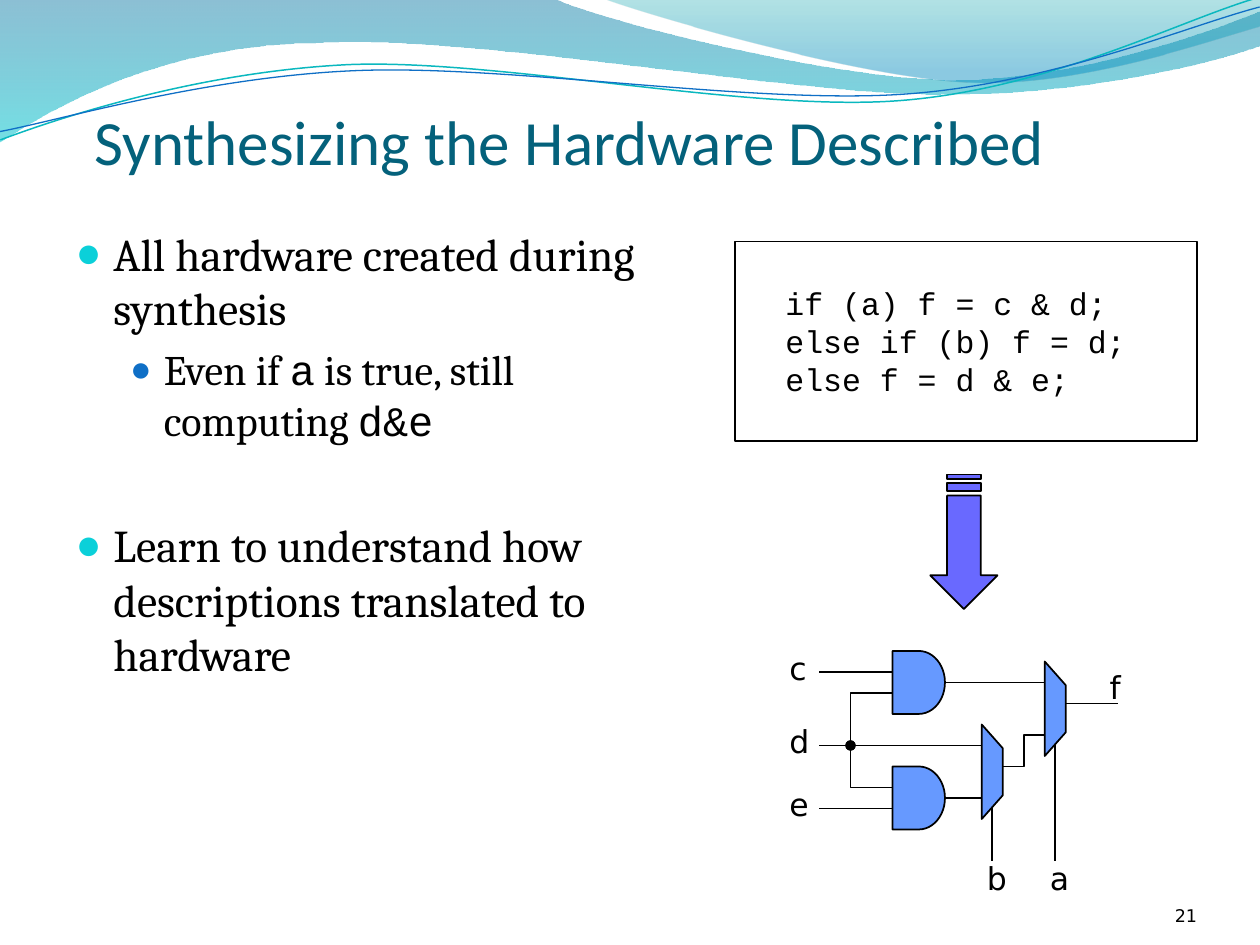
"""Build the slide on how an if/else description is synthesized into gates and multiplexers."""
from lxml import etree
from pptx import Presentation
from pptx import util as u
from pptx.dml.color import RGBColor
from pptx.enum import shapes, text
from pptx.oxml.ns import qn

PX = 7620
BLACK = RGBColor(0x00, 0x00, 0x00)
TITLE_TEAL = RGBColor(0x04, 0x61, 0x7B)
GATE_BLUE = RGBColor(0x66, 0x99, 0xFF)
ARROW_VIOLET = RGBColor(0x69, 0x69, 0xFF)
CYAN = RGBColor(0x0B, 0xD0, 0xD9)
BLUE = RGBColor(0x0F, 0x6F, 0xC6)
WAVE_TEAL = RGBColor(0x0A, 0xB8, 0xBF)
DEEP_BLUE = RGBColor(0x00, 0x74, 0xA1)
AQUA = RGBColor(0x00, 0xC6, 0xCF)
SEA_GREEN = RGBColor(0x00, 0xA1, 0xA9)
SKY_BLUE = RGBColor(0x00, 0x8B, 0xBF)
SANS, SERIF, MONO = "DejaVu Sans", "Cambria", "Courier New"

TITLE = "Synthesizing the Hardware Described"
POINTS = [
    (0, 5, [("All hardware created during synthesis", SERIF)]),
    (1, 5, [("Even if ", SERIF), ("a", MONO), (" is true, still computing ", SERIF), ("d&e", MONO)]),
    (0, 41.5, [("Learn to understand how descriptions translated to hardware", SERIF)]),
]
LEVELS = [
    {"size": 26, "margin": 36, "hang": 36, "color": CYAN, "percent": 95},
    {"size": 24, "margin": 84, "hang": 32, "color": BLUE, "percent": 85},
]
CODE = ["if (a) f = c & d;", "else if (b) f = d;", "else f = d & e;"]
PAGE_NUMBER = "21"

FILLED_WAVES = [
    ([[(0, -1)], [(528, -1)], [(571, 20), (797, 76), (910, 76)], [(1024, 76), (1150, 31), (1200, 11)],
      [(1201, 43)], [(1180, 53), (1044, 91), (895, 90)], [(746, 90), (458, 34), (308, 41)],
      [(155, 42), (55, 100), (-1, 136)]],
     [(0, DEEP_BLUE, 45), (1, AQUA, 55)]),
    ([[(575, -1)], [(611, 13), (818, 74), (923, 78)], [(1027, 83), (1153, 38), (1200, 25)], [(1200, 0)]],
     [(0, SEA_GREEN, 30), (0.8, SKY_BLUE, 45)]),
]
WAVE_TILT = 357.3
LINE_WAVES = [
    ([[(-2, 105)], [(57, 86), (190, 49), (333, 49)], [(475, 50), (710, 112), (854, 108)],
      [(999, 104), (1128, 43), (1201, 26)]], WAVE_TEAL, 0.85),
    ([[(-2, 97)], [(55, 89), (197, 54), (340, 55)], [(485, 56), (714, 105), (859, 102)],
      [(1002, 99), (1131, 50), (1202, 35)]], BLUE, 0.75),
]

ARROW_HEAD = [(874, 500), (950, 500), (950, 484), (982, 516), (950, 548), (950, 532), (874, 532)]
ARROW_STRIPES = [(862, 870), (854, 858)]
STRIPE_TOP, STRIPE_BOTTOM = 500, 532

GATES = [(850, 620), (850, 730)]
GATE_SIZE = (50, 60)
MUXES = [(960, 665), (900, 725)]
MUX_LENGTH, MUX_DEPTH, MUX_SLOPE = 90, 20, 22.5
GATE_OUTPUT_ENDS = [(995, 650), (935, 760)]
STRAIGHT_WIRES = [
    ((780, 640), (850, 640)), ((780, 710), (935, 710)), ((780, 770), (850, 770)),
    ((1015, 670), (1065, 670)), ((1005, 710), (1005, 820)), ((945, 770), (945, 820)),
]
MUX_LINK = [(955, 730), (975, 730), (975, 700), (995, 700)]
D_BRANCHES = [[(810, 710), (810, y), (850, y)] for y in (660, 750)]
SIGNALS = [("c", 740, 612, 40), ("d", 740, 682, 43), ("e", 740, 742, 42),
           ("f", 1045, 630, 35), ("a", 988, 812, 42), ("b", 928, 812, 43)]


def px(*lengths):
    return [u.Emu(round(length * PX)) for length in lengths]


def style_font(font, size, face, color=BLACK):
    font.size, font.name, font.color.rgb = u.Pt(size), face, color


def style_shape(shape, fill=None, line=BLACK, width=1):
    shape.shadow.inherit = False
    if fill is None:
        shape.fill.background()
    else:
        shape.fill.solid()
        shape.fill.fore_color.rgb = fill
    shape.line.color.rgb = line
    shape.line.width = u.Pt(width)


def add_outline(slide, *contours, close=False):
    builder = slide.shapes.build_freeform(*px(*contours[0][0]))
    for index, contour in enumerate(contours):
        if index:
            builder.move_to(*px(*contour[0]))
        builder.add_line_segments([px(*point) for point in contour[1:]], close=close)
    return builder.convert_to_shape()


def add_curve(slide, segments, close=False):
    curve = add_outline(slide, [point for segment in segments for point in segment])
    outline = next(curve._element.iter(qn("a:path")))
    steps = iter(outline.findall(qn("a:lnTo")))
    for segment in segments[1:]:
        first, *others = [next(steps) for _ in segment]
        if others:
            bezier = etree.Element(qn("a:cubicBezTo"))
            first.addprevious(bezier)
            for step in (first, *others):
                bezier.append(step[0])
                outline.remove(step)
    if close:
        etree.SubElement(outline, qn("a:close"))
    return curve


def add_waves(slide):
    for segments, stops in FILLED_WAVES:
        wave = add_curve(slide, segments, close=True)
        wave.shadow.inherit = False
        wave.line.fill.background()
        wave.fill.gradient()
        wave.fill.gradient_angle = 270
        for stop, (position, color, _) in zip(wave.fill.gradient_stops, stops):
            stop.position, stop.color.rgb = position, color
        for node, (_, _, opacity) in zip(wave._element.iter(qn("a:gs")), stops):
            etree.SubElement(node[0], qn("a:alpha"), val=str(opacity * 1000))
    for segments, color, width in LINE_WAVES:
        wave = add_curve(slide, segments)
        wave.rotation = WAVE_TILT
        style_shape(wave, line=color, width=width)


def fill_title(title):
    title.left, title.top, title.width, title.height = px(90, 20, 1080, 150)
    frame = title.text_frame
    frame.text = TITLE
    frame.auto_size = text.MSO_AUTO_SIZE.NONE
    frame.vertical_anchor = text.MSO_ANCHOR.BOTTOM
    frame.margin_left, frame.margin_top, frame.margin_right, frame.margin_bottom = px(0, 6, 0, 0)
    frame.paragraphs[0].alignment = text.PP_ALIGN.LEFT
    style_font(frame.paragraphs[0].runs[0].font, 36, "Calibri", TITLE_TEAL)


def fill_body(body):
    body.left, body.top, body.width, body.height = px(60, 209, 600, 650)
    frame = body.text_frame
    frame.auto_size = text.MSO_AUTO_SIZE.NONE
    for index, (level, gap, pieces) in enumerate(POINTS):
        point = frame.add_paragraph() if index else frame.paragraphs[0]
        look = LEVELS[level]
        point.level, point.space_before = level, u.Pt(gap)
        for words, face in pieces:
            run = point.add_run()
            run.text = words
            style_font(run.font, look["size"], face)
        props = point._p.get_or_add_pPr()
        margin, hang = px(look["margin"], -look["hang"])
        props.set("marL", str(margin))
        props.set("indent", str(hang))
        bullet_color = etree.SubElement(props, qn("a:buClr"))
        etree.SubElement(bullet_color, qn("a:srgbClr"), val=str(look["color"]))
        etree.SubElement(props, qn("a:buSzPct"), val=str(look["percent"] * 1000))
        etree.SubElement(props, qn("a:buChar"), char="●")


def add_code(slide):
    box = slide.shapes.add_shape(shapes.MSO_SHAPE.RECTANGLE, *px(700, 230, 440, 190))
    style_shape(box)
    frame = box.text_frame
    frame.text = "\n".join(CODE)
    frame.margin_left = px(48)[0]
    frame.vertical_anchor = text.MSO_ANCHOR.MIDDLE
    for line in frame.paragraphs:
        line.alignment = text.PP_ALIGN.LEFT
        style_font(line.runs[0].font, 18, MONO)


def add_arrow(slide):
    stripes = [[(right, STRIPE_TOP), (right, STRIPE_BOTTOM), (left, STRIPE_BOTTOM), (left, STRIPE_TOP)]
               for left, right in ARROW_STRIPES]
    arrow = add_outline(slide, ARROW_HEAD, *stripes, close=True)
    arrow.rotation = 90
    style_shape(arrow, ARROW_VIOLET)


def add_wire(slide, start, end):
    wire = slide.shapes.add_connector(shapes.MSO_CONNECTOR.STRAIGHT, *px(*start, *end))
    wire.line.color.rgb = BLACK
    wire.line.width = u.Pt(1)
    etree.SubElement(wire._element.spPr, qn("a:effectLst"))
    return wire


def add_circuit(slide):
    for x, y in MUXES:
        right, bottom = x + MUX_LENGTH, y + MUX_DEPTH
        corners = [(x, y), (right, y), (right - MUX_SLOPE, bottom), (x + MUX_SLOPE, bottom)]
        mux = add_outline(slide, corners, close=True)
        mux.rotation = 270
        style_shape(mux, GATE_BLUE)
    for (x, y), end in zip(GATES, GATE_OUTPUT_ENDS):
        gate = slide.shapes.add_shape(shapes.MSO_SHAPE.FLOWCHART_DELAY, *px(x, y, *GATE_SIZE))
        style_shape(gate, GATE_BLUE)
        add_wire(slide, (x + GATE_SIZE[0], end[1]), end).begin_connect(gate, 3)
    for start, end in STRAIGHT_WIRES:
        add_wire(slide, start, end)
    style_shape(add_outline(slide, MUX_LINK))
    for route in D_BRANCHES:
        branch = add_outline(slide, route)
        style_shape(branch)
        etree.SubElement(branch.line._get_or_add_ln(), qn("a:headEnd"), type="oval")
    for signal, x, y, width in SIGNALS:
        label = slide.shapes.add_textbox(*px(x, y, width, 48)).text_frame
        label.text = signal
        label.word_wrap = False
        style_font(label.paragraphs[0].runs[0].font, 18, SANS)


def add_page_number(slide):
    frame = slide.shapes.add_textbox(*px(1040, 834, 100, 48)).text_frame
    frame.text = PAGE_NUMBER
    frame.word_wrap = True
    frame.vertical_anchor = text.MSO_ANCHOR.BOTTOM
    frame.margin_left = frame.margin_top = frame.margin_right = frame.margin_bottom = 0
    frame.paragraphs[0].alignment = text.PP_ALIGN.RIGHT
    style_font(frame.paragraphs[0].runs[0].font, 10, SANS)


deck = Presentation()
deck.slide_width, deck.slide_height = px(1200, 900)
slide = deck.slides.add_slide(deck.slide_layouts[1])
title, body = slide.placeholders
add_waves(slide)
for placeholder in (title, body):
    slide.shapes._spTree.append(placeholder._element)
fill_title(title)
fill_body(body)
add_page_number(slide)
add_code(slide)
add_circuit(slide)
add_arrow(slide)
deck.save("out.pptx")
